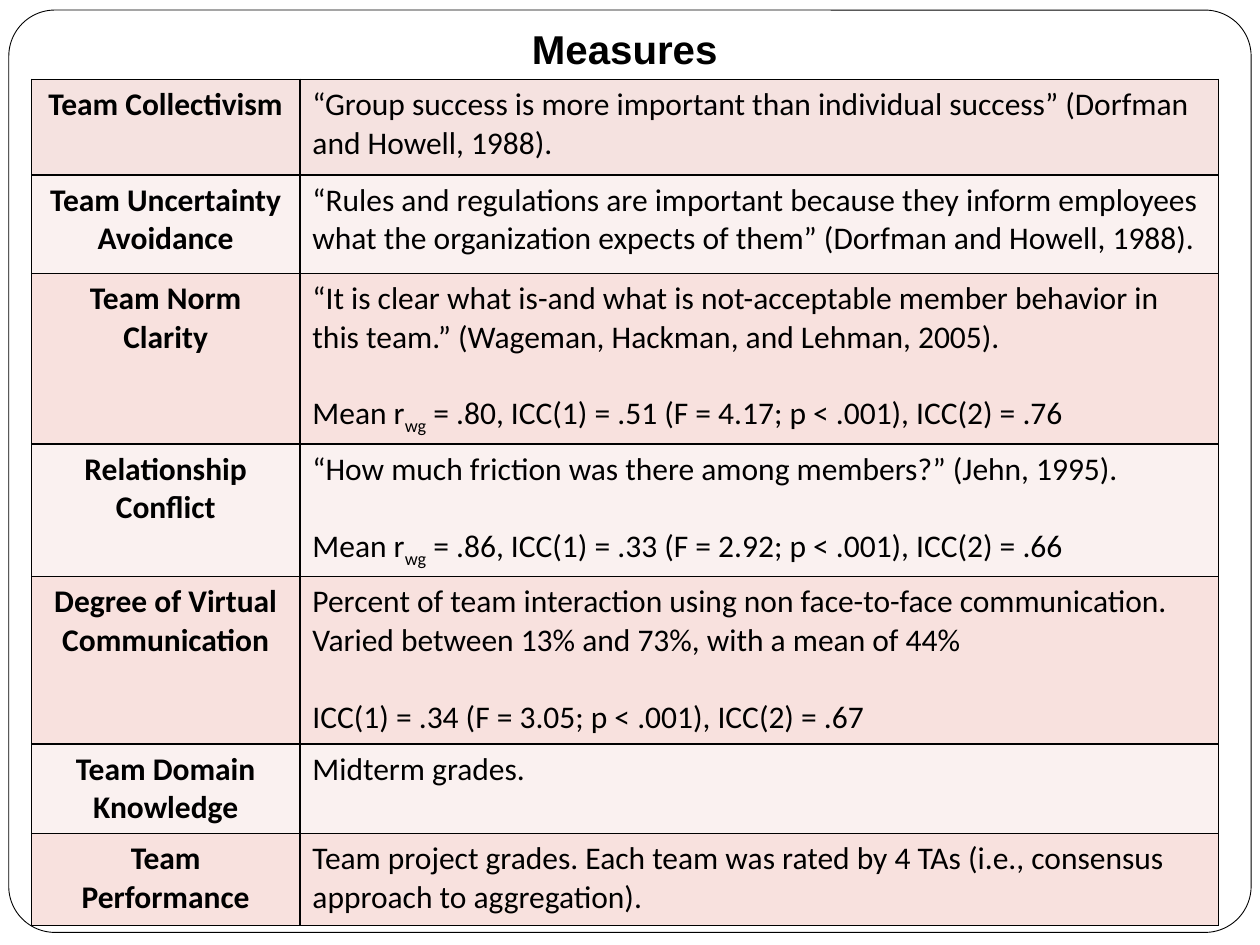
from lxml.etree import SubElement
from pptx import Presentation
from pptx.dml.color import RGBColor
from pptx.enum.shapes import MSO_SHAPE as Shape
from pptx.enum.text import PP_ALIGN as Align
from pptx.oxml.ns import qn
from pptx.util import Inches, Pt

BLACK = RGBColor(0x00, 0x00, 0x00)
WHITE = RGBColor(0xFF, 0xFF, 0xFF)
FIRST_BAND = RGBColor(0xEF, 0xCF, 0xCC)
LIGHT_BAND = RGBColor(0xF7, 0xE9, 0xE7)
DARK_BAND = RGBColor(0xF4, 0xCE, 0xC9)
BAND_OPACITY = 60
BLANK_LINE = Pt(22)

# Content: measure, row height, paragraphs (a tuple holds text, subscript, text)
TITLE = "Measures"
TITLE_HEIGHT = 0.45
MEASURES = [
    ("Team Collectivism", 0.76,
     ["“Group success is more important than individual success” "
      "(Dorfman and Howell, 1988)."]),
    ("Team Uncertainty Avoidance", 0.78,
     ["“Rules and regulations are important because they inform employees "
      "what the organization expects of them” (Dorfman and Howell, 1988)."]),
    ("Team Norm Clarity", 1.14,
     ["“It is clear what is-and what is not-acceptable member behavior in "
      "this team.” (Wageman, Hackman, and Lehman, 2005).",
      ("Mean r", "wg", " = .80, ICC(1) = .51 (F = 4.17; p < .001), ICC(2) = .76")]),
    ("Relationship Conflict", 1.03,
     ["“How much friction was there among members?” (Jehn, 1995).",
      ("Mean r", "wg", " = .86, ICC(1) = .33 (F = 2.92; p < .001), ICC(2) = .66")]),
    ("Degree of Virtual Communication", 1.33,
     ["Percent of team interaction using non face-to-face communication. "
      "Varied between 13% and 73%, with a mean of 44%",
      "ICC(1) = .34 (F = 3.05; p < .001), ICC(2) = .67"]),
    ("Team Domain Knowledge", 0.64, ["Midterm grades."]),
    ("Team Performance", 0.73,
     ["Team project grades. Each team was rated by 4 TAs "
      "(i.e., consensus approach to aggregation)."]),
]
COLUMN_WIDTHS = (2.13, 7.29)


def write(cell, paragraphs, font="Calibri", size=18, bold=False, align=Align.LEFT):
    frame = cell.text_frame
    for index, content in enumerate(paragraphs):
        paragraph = frame.add_paragraph() if index else frame.paragraphs[0]
        paragraph.alignment = align
        if index:
            paragraph.space_before = BLANK_LINE
        parts = (content,) if isinstance(content, str) else content
        for position, text in enumerate(parts):
            run = paragraph.add_run()
            run.text = text
            run.font.name, run.font.size, run.font.bold = font, Pt(size), bold
            run.font.color.rgb = BLACK
            if position == 1:
                run.font._element.set("baseline", "-25000")


def set_borders(cell, visible="LRTB"):
    properties = cell._tc.get_or_add_tcPr()
    for index, side in enumerate("LRTB"):
        line = SubElement(properties, qn(f"a:ln{side}"), w=str(Pt(1)))
        if side in visible:
            fill = SubElement(line, qn("a:solidFill"))
            SubElement(fill, qn("a:srgbClr"), val=str(BLACK))
        else:
            SubElement(line, qn("a:noFill"))
        properties.insert(index, line)


def fill_band(cell, color):
    cell.fill.solid()
    cell.fill.fore_color.rgb = color
    color_element = cell._tc.tcPr.find(qn("a:solidFill"))[0]
    SubElement(color_element, qn("a:alpha"), val=str(BAND_OPACITY * 1000))


presentation = Presentation()
presentation.slide_width, presentation.slide_height = Inches(10), Inches(7.5)
slide = presentation.slides.add_slide(presentation.slide_layouts[6])

# Rounded frame
frame_shape = slide.shapes.add_shape(
    Shape.ROUNDED_RECTANGLE, Inches(0.07), Inches(0.08), Inches(9.86), Inches(7.32))
frame_shape.adjustments[0] = 0.05
frame_shape.shadow.inherit = False
frame_shape.fill.solid()
frame_shape.fill.fore_color.rgb = WHITE
frame_shape.line.color.rgb = BLACK
frame_shape.line.width = Pt(0.5)

# Table grid
heights = [TITLE_HEIGHT] + [height for _, height, _ in MEASURES]
table = slide.shapes.add_table(
    len(heights), len(COLUMN_WIDTHS), Inches(0.25), Inches(0.17),
    Inches(sum(COLUMN_WIDTHS)), Inches(sum(heights))).table
for column, width in zip(table.columns, COLUMN_WIDTHS):
    column.width = Inches(width)
for row, height in zip(table.rows, heights):
    row.height = Inches(height)

# Title row across both columns
title_cell = table.cell(0, 0)
title_cell.merge(table.cell(0, 1))
write(title_cell, [TITLE], font="Arial", size=23, bold=True, align=Align.CENTER)
for cell in table.rows[0].cells:
    cell.fill.background()
    set_borders(cell, visible="B")

# Measure rows in alternating bands
for index, (measure, _, description) in enumerate(MEASURES, start=1):
    band = FIRST_BAND if index == 1 else (DARK_BAND if index % 2 else LIGHT_BAND)
    name_cell, description_cell = table.cell(index, 0), table.cell(index, 1)
    write(name_cell, [measure], bold=True, align=Align.CENTER)
    write(description_cell, description)
    for cell in (name_cell, description_cell):
        fill_band(cell, band)
        set_borders(cell)

presentation.save("out.pptx")
